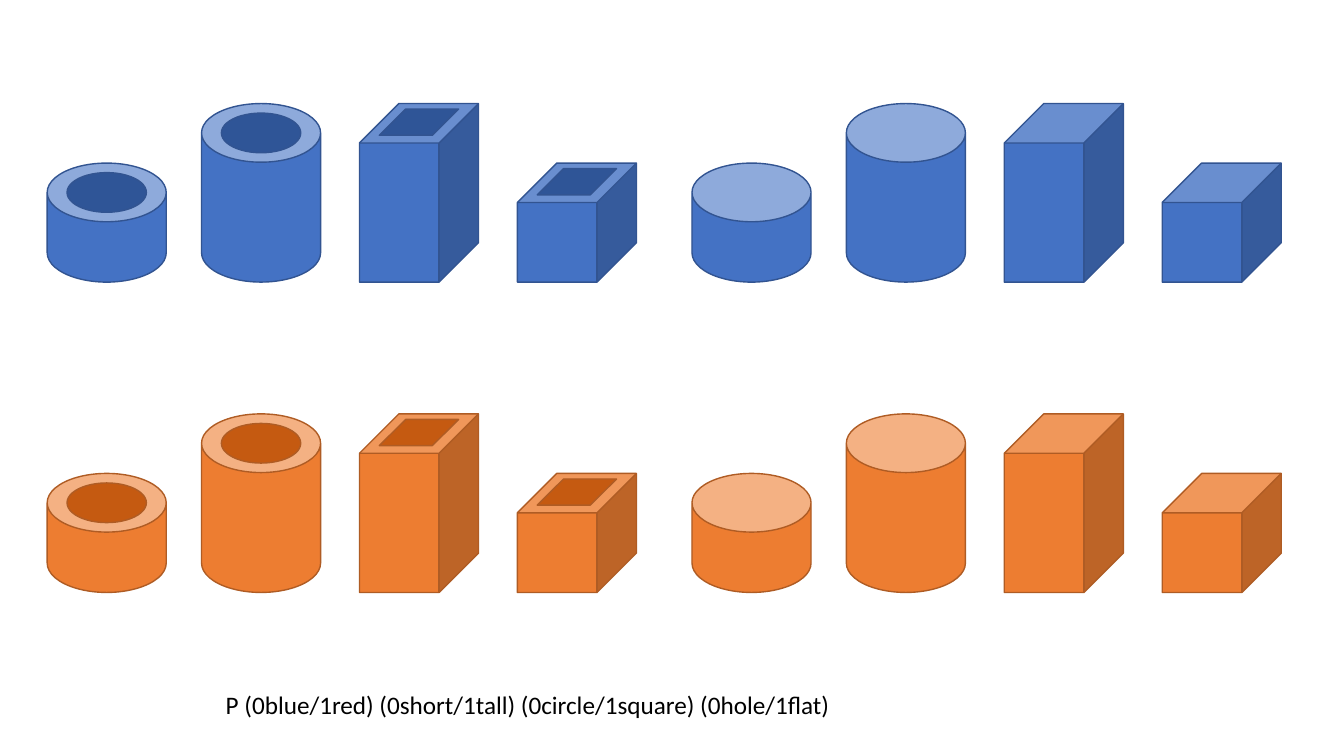
from pptx import Presentation
from pptx import util as u
from pptx.dml.color import RGBColor
from pptx.enum import shapes, text

COLORS = {
    "blue": {"fill": "4472C4", "hole": "2F5597", "line": "325491"},
    "red": {"fill": "ED7D31", "hole": "C55A11", "line": "AF5C24"},
    "text": "000000",
}
SHAPE = shapes.MSO_SHAPE

# Lengths in cm: each piece stands on the base line of its row
WIDTH = 3
HEIGHTS = {"short": 3, "tall": 4.5}
BASES = {"blue": 7.11, "red": 14.93}
PIECES = [(1.19, "short", "circle"), (5.08, "tall", "circle"),
          (9.06, "tall", "square"), (13.04, "short", "square")]
FLAT_SHIFT = 16.25

# Body shape and adjustment, then hole shape, adjustments, top offset, height
FORMS = {
    "circle": (SHAPE.CAN, 0.493, SHAPE.OVAL, [], 0.24, 1),
    "square": (SHAPE.CUBE, 0.331, SHAPE.PARALLELOGRAM, [1.005], 0.14, 0.66),
}
HOLE_INSET, HOLE_WIDTH = 0.5, 2


def add_solid(parent, kind, box, adjustments, fill, line):
    sp = parent.add_shape(kind, *[u.Cm(v) for v in box])
    for i, value in enumerate(adjustments):
        sp.adjustments[i] = value
    sp.shadow.inherit = False
    sp.fill.solid()
    sp.fill.fore_color.rgb = RGBColor.from_string(fill)
    sp.line.color.rgb = RGBColor.from_string(line)
    sp.line.width = u.Pt(1)


def add_piece(s, color, left, size, form, hole):
    body, body_adj, hole_kind, hole_adj, hole_top, hole_height = FORMS[form]
    c = COLORS[color]
    height = HEIGHTS[size]
    top = BASES[color] - height
    parent = s.shapes.add_group_shape().shapes if hole else s.shapes
    add_solid(parent, body, (left, top, WIDTH, height), [body_adj],
              c["fill"], c["line"])
    if hole:
        box = (left + HOLE_INSET, top + hole_top, HOLE_WIDTH, hole_height)
        add_solid(parent, hole_kind, box, hole_adj, c["hole"], c["line"])


def add_caption(s, box, caption):
    tf = s.shapes.add_textbox(*[u.Cm(v) for v in box]).text_frame
    frame_format = {"word_wrap": False,
                    "auto_size": text.MSO_AUTO_SIZE.SHAPE_TO_FIT_TEXT}
    for name, value in frame_format.items():
        setattr(tf, name, value)
    r = tf.paragraphs[0].add_run()
    r.text = caption
    for name, value in {"name": "Calibri", "size": u.Pt(18)}.items():
        setattr(r.font, name, value)
    r.font.color.rgb = RGBColor.from_string(COLORS["text"])


def main():
    prs = Presentation()
    prs.slide_width, prs.slide_height = u.Cm(33.87), u.Cm(19.05)
    s = prs.slides.add_slide(prs.slide_layouts[6])

    # Two rows of pieces: flat ones on the right, hollow ones on the left
    for color in BASES:
        for hole in (False, True):
            for left, size, form in PIECES:
                x = left if hole else left + FLAT_SHIFT
                add_piece(s, color, x, size, form, hole)

    # Key to the piece code
    add_caption(s, (5.44, 17.25, 15.93, 1.02),
                "P (0blue/1red) (0short/1tall) (0circle/1square) (0hole/1flat)")
    prs.save("out.pptx")


main()
